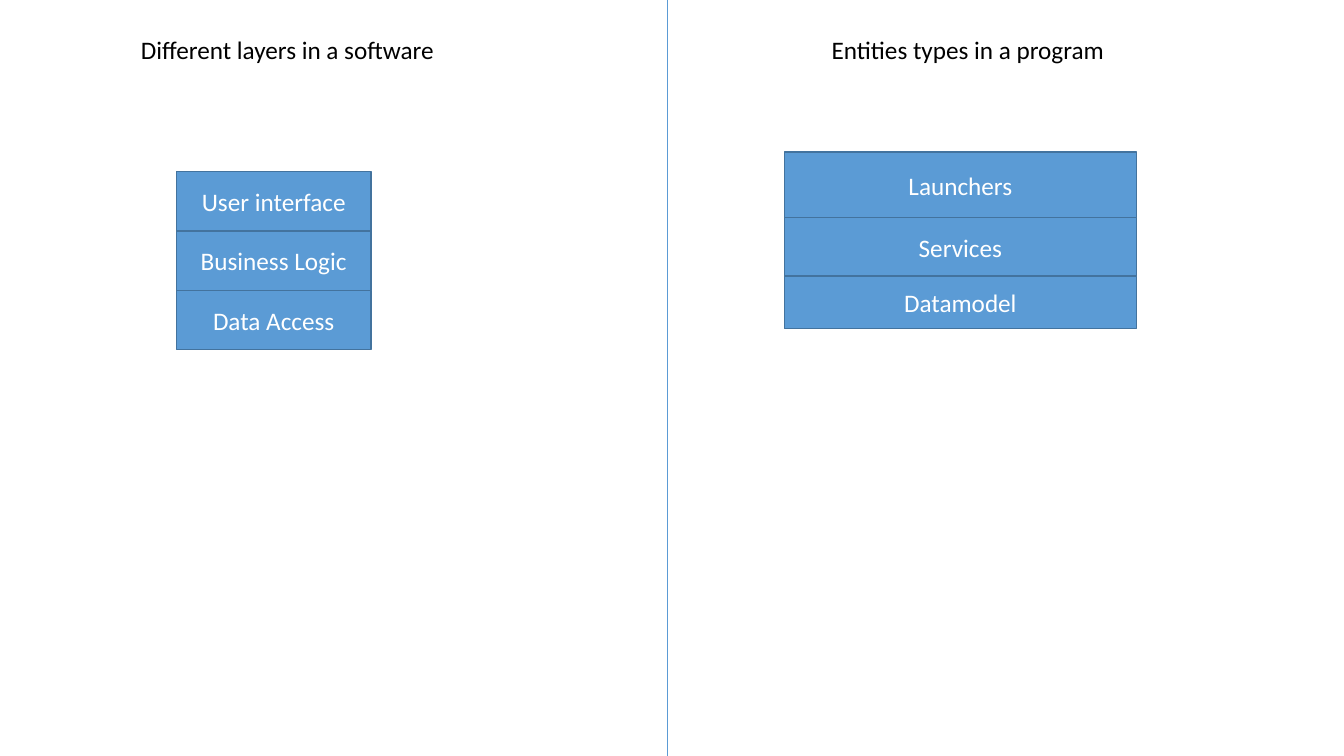
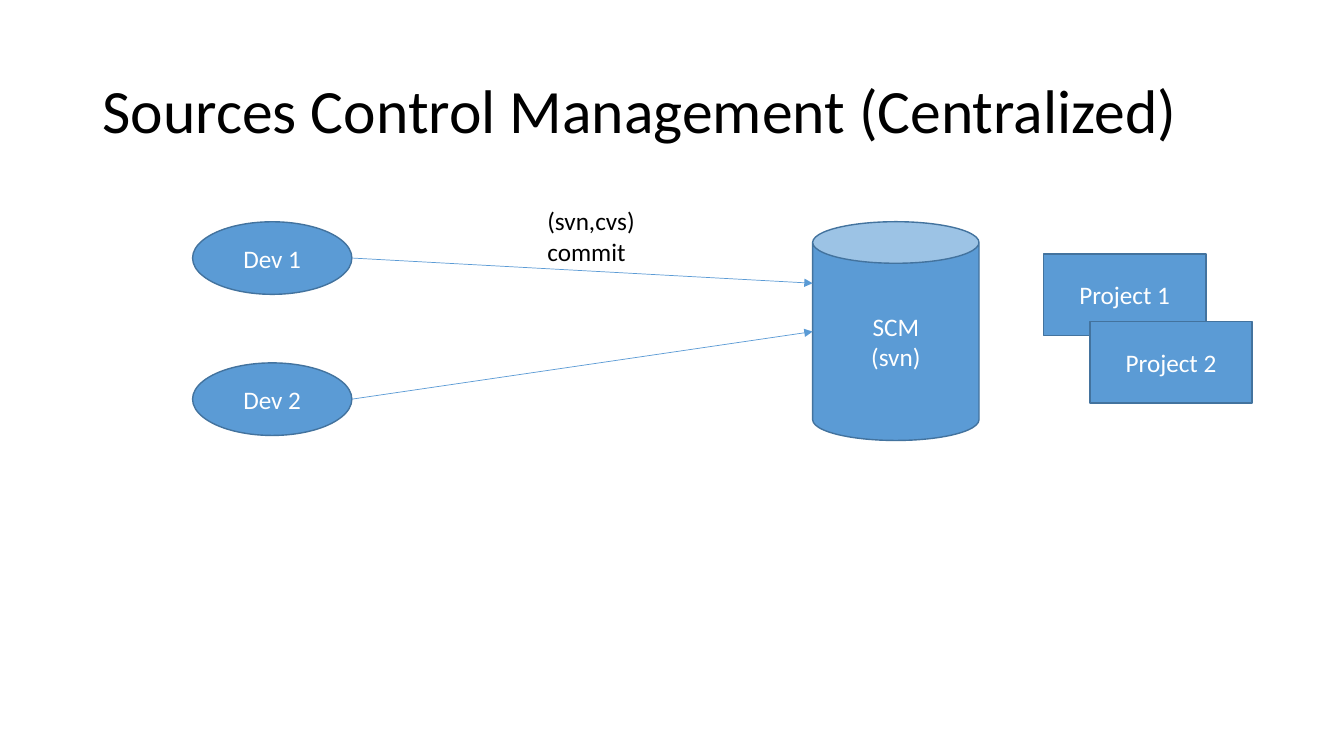
from lxml import etree
from pptx import Presentation
from pptx import util as u
from pptx.dml.color import RGBColor
from pptx.enum import shapes, text
from pptx.oxml import ns

BLUE, EDGE, WHITE, BLACK = "5B9BD5", "43739E", "FFFFFF", "000000"
FONT = "Calibri"
KIND = shapes.MSO_SHAPE


def color(value):
    return RGBColor.from_string(value)


class Deck:
    def __init__(self):
        self.file = Presentation()
        self.file.slide_width = u.Inches(13.33)
        self.file.slide_height = u.Inches(7.5)
        self.page = None

    def add_page(self):
        self.page = self.file.slides.add_slide(self.file.slide_layouts[6])
        self.page.background.fill.solid()
        self.page.background.fill.fore_color.rgb = color(WHITE)

    def add_lines(self, frame, lines, size, ink, align, spacing=None):
        for index, line in enumerate(lines):
            para = frame.add_paragraph() if index else frame.paragraphs[0]
            para.alignment = align
            para.line_spacing = spacing
            span = para.add_run()
            span.text = line
            span.font.name = FONT
            span.font.size = u.Pt(size)
            span.font.color.rgb = color(ink)

    def block(self, kind, left, top, width, height, *lines):
        box = self.page.shapes.add_shape(
            kind, u.Inches(left), u.Inches(top), u.Inches(width), u.Inches(height))
        box.shadow.inherit = False
        box.fill.solid()
        box.fill.fore_color.rgb = color(BLUE)
        box.line.color.rgb = color(EDGE)
        box.line.width = u.Pt(1)
        box.text_frame.word_wrap = True
        box.text_frame.vertical_anchor = text.MSO_ANCHOR.MIDDLE
        self.add_lines(box.text_frame, lines, 18, WHITE, text.PP_ALIGN.CENTER)

    def stack(self, left, top, width, layers):
        for name, height in layers:
            self.block(KIND.RECTANGLE, left, top, width, height, name)
            top += height

    def text_box(self, left, top, width, height):
        return self.page.shapes.add_textbox(
            u.Inches(left), u.Inches(top), u.Inches(width), u.Inches(height)).text_frame

    def label(self, left, top, width, height, *lines):
        frame = self.text_box(left, top, width, height)
        frame.word_wrap = False
        frame.auto_size = text.MSO_AUTO_SIZE.SHAPE_TO_FIT_TEXT
        self.add_lines(frame, lines, 18, BLACK, text.PP_ALIGN.LEFT)

    def title(self, words):
        frame = self.text_box(0.92, 0.4, 11.5, 1.45)
        frame.word_wrap = True
        frame.vertical_anchor = text.MSO_ANCHOR.MIDDLE
        self.add_lines(frame, [words], 44, BLACK, text.PP_ALIGN.LEFT, 0.9)

    def line(self, x1, y1, x2, y2, arrow=False):
        link = self.page.shapes.add_connector(
            shapes.MSO_CONNECTOR.STRAIGHT,
            u.Inches(x1), u.Inches(y1), u.Inches(x2), u.Inches(y2))
        link.line.color.rgb = color(BLUE)
        link.line.width = u.Pt(0.5)
        properties = link.element.spPr
        if arrow:
            stroke = properties.find(ns.qn("a:ln"))
            etree.SubElement(stroke, ns.qn("a:tailEnd"), type="triangle")
        etree.SubElement(properties, ns.qn("a:effectLst"))


deck = Deck()

deck.add_page()
deck.line(6.62, 0, 6.62, 7.5)
deck.label(1.3, 0.29, 3.15, 0.4, "Different layers in a software")
deck.stack(1.75, 1.7, 1.93, [
    ("User interface", 0.59), ("Business Logic", 0.59), ("Data Access", 0.59)])
deck.label(8.15, 0.29, 2.94, 0.4, "Entities types in a program")
deck.stack(7.78, 1.51, 3.49, [
    ("Launchers", 0.65), ("Services", 0.58), ("Datamodel", 0.52)])

deck.add_page()
deck.title("Sources Control Management (Centralized)")
deck.block(KIND.CAN, 8.06, 2.2, 1.65, 2.17, "SCM", "(svn)")
for name, left, top in [("Project 1", 10.35, 2.52), ("Project 2", 10.81, 3.19)]:
    deck.block(KIND.RECTANGLE, left, top, 1.61, 0.81, name)
for name, top, target in [("Dev 1", 2.2, 2.81), ("Dev 2", 3.6, 3.29)]:
    deck.block(KIND.OVAL, 1.91, top, 1.58, 0.72, name)
    deck.line(3.49, top + 0.36, 8.06, target, arrow=True)
deck.label(5.33, 1.99, 1.08, 0.71, "(svn,cvs)", "commit")

deck.file.save("out.pptx")
